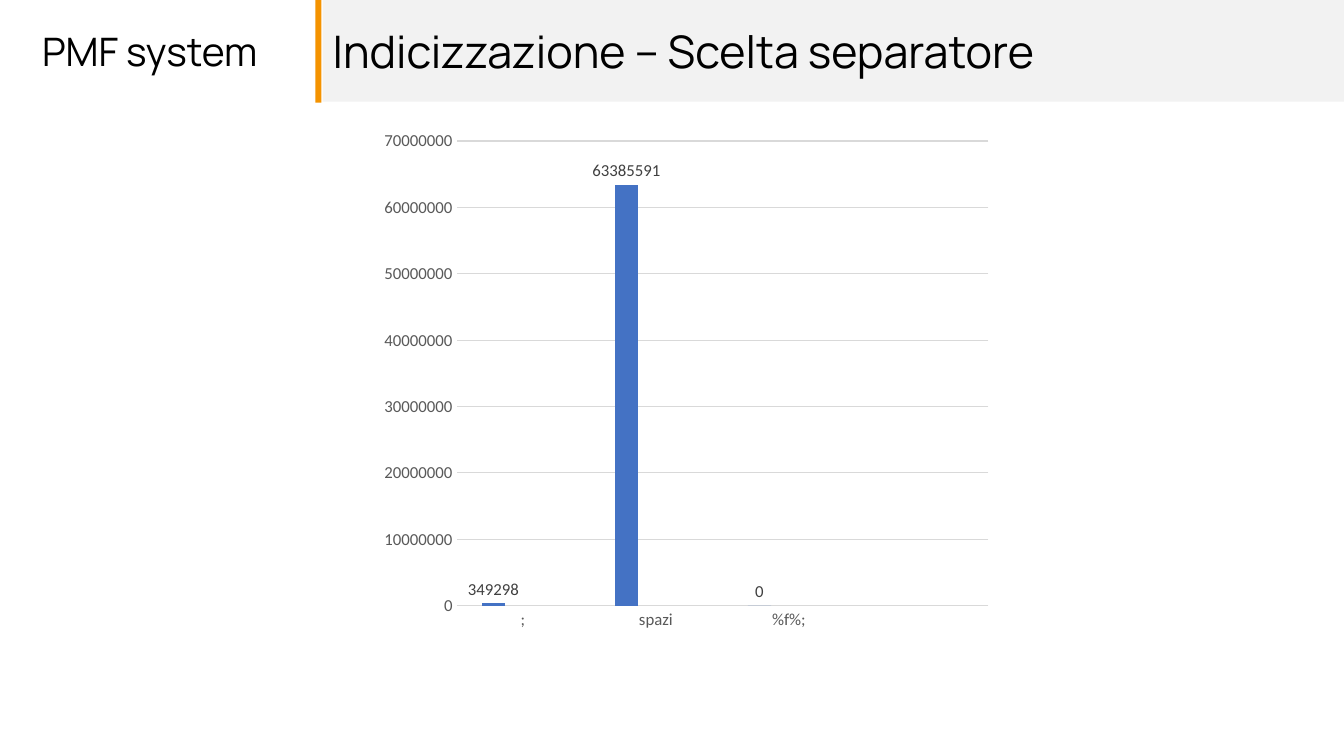
from dataclasses import dataclass

from lxml.etree import SubElement
from pptx import Presentation
from pptx.chart.axis import _BaseAxis
from pptx.chart.chart import Chart
from pptx.chart.data import CategoryChartData
from pptx.dml.color import RGBColor
from pptx.enum.chart import XL_CHART_TYPE, XL_LABEL_POSITION, XL_TICK_MARK
from pptx.enum.shapes import MSO_SHAPE
from pptx.enum.text import MSO_ANCHOR, MSO_AUTO_SIZE, PP_ALIGN
from pptx.oxml.ns import qn
from pptx.slide import Slide
from pptx.text.text import Font, TextFrame
from pptx.util import Cm, Pt


@dataclass(frozen=True)
class Theme:
    face: str = "Manrope"
    data: str = "Calibri"
    ink: str = "000000"
    band: str = "F2F2F2"
    accent: str = "F49301"
    grid: str = "D9D9D9"
    axis: str = "595959"
    label: str = "404040"
    title: int = 32
    brand: int = 28
    tick: int = 12
    base: int = 10


@dataclass(frozen=True)
class Box:
    left: float
    top: float
    width: float
    height: float

    def sides(self) -> tuple[Cm, Cm, Cm, Cm]:
        return Cm(self.left), Cm(self.top), Cm(self.width), Cm(self.height)


@dataclass(frozen=True)
class Series:
    name: str
    values: tuple[int | None, ...]
    color: str


THEME = Theme()
TITLE = Box(8.13, -0.03, 25.83, 2.59)
BAR = Box(7.95, 0, 0.15, 2.59)
BRAND = Box(0.81, 0.56, 8.15, 1.45)
CHART = Box(8.86, 2.95, 16.13, 13.16)
PLOT = {"x": 0.164, "y": 0.046, "w": 0.831, "h": 0.89}
MARKS = (";", "spazi", "%f%;", "")
BLANK = (None,) * len(MARKS)
SERIES = (
    Series("Series 1", (349298, 63385591, 0, None), "4472C4"),
    Series("Series 2", BLANK, "ED7D31"),
    Series("Series 3", BLANK, "A5A5A5"),
)


def style(font: Font, face: str, size: int, color: str) -> None:
    font.name, font.size = face, Pt(size)
    font.color.rgb = RGBColor.from_string(color)


def write(frame: TextFrame, text: str, size: int) -> None:
    frame.text = text
    para = frame.paragraphs[0]
    para.alignment = PP_ALIGN.LEFT
    style(para.runs[0].font, THEME.face, size, THEME.ink)


def add_title(slide: Slide) -> None:
    title = slide.shapes.title
    title.left, title.top, title.width, title.height = TITLE.sides()
    title.fill.solid()
    title.fill.fore_color.rgb = RGBColor.from_string(THEME.band)
    frame = title.text_frame
    frame.auto_size = MSO_AUTO_SIZE.NONE
    frame.vertical_anchor = MSO_ANCHOR.MIDDLE
    write(frame, "Indicizzazione – Scelta separatore", THEME.title)


def add_bar(slide: Slide) -> None:
    bar = slide.shapes.add_shape(MSO_SHAPE.RECTANGLE, *BAR.sides())
    bar.shadow.inherit = False
    bar.fill.solid()
    bar.fill.fore_color.rgb = RGBColor.from_string(THEME.accent)
    bar.line.fill.background()


def add_brand(slide: Slide) -> None:
    frame = slide.shapes.add_textbox(*BRAND.sides()).text_frame
    frame.word_wrap = True
    frame.auto_size = MSO_AUTO_SIZE.SHAPE_TO_FIT_TEXT
    write(frame, "PMF system", THEME.brand)


def set_axis(axis: _BaseAxis) -> None:
    axis.major_tick_mark = axis.minor_tick_mark = XL_TICK_MARK.NONE
    style(axis.tick_labels.font, THEME.data, THEME.tick, THEME.axis)


def set_plot(chart: Chart) -> None:
    """Fix the inner plot area as fractions of the chart."""
    area = chart.element.find(".//" + qn("c:plotArea"))
    layout = area.find(qn("c:layout"))
    if layout is None:
        layout = SubElement(area, qn("c:layout"))
        area.insert(0, layout)
    manual = SubElement(layout, qn("c:manualLayout"))
    rules = {"layoutTarget": "inner", "xMode": "edge", "yMode": "edge"} | PLOT
    for key, value in rules.items():
        SubElement(manual, qn("c:" + key)).set("val", str(value))


def add_chart(slide: Slide) -> None:
    data = CategoryChartData()
    data.categories = MARKS
    for item in SERIES:
        data.add_series(item.name, item.values)
    chart = slide.shapes.add_chart(
        XL_CHART_TYPE.COLUMN_CLUSTERED, *CHART.sides(), data
    ).chart
    chart.has_title = chart.has_legend = False
    style(chart.font, THEME.data, THEME.base, THEME.ink)
    set_plot(chart)

    plot = chart.plots[0]
    plot.gap_width, plot.overlap = 219, -27
    plot.vary_by_categories = False
    for item, series in zip(SERIES, plot.series):
        series.format.fill.solid()
        series.format.fill.fore_color.rgb = RGBColor.from_string(item.color)
    labels = plot.series[0].data_labels
    labels.show_value = True
    labels.position = XL_LABEL_POSITION.OUTSIDE_END
    style(labels.font, THEME.data, THEME.tick, THEME.label)

    across, up = chart.category_axis, chart.value_axis
    set_axis(across)
    set_axis(up)
    up.minimum_scale, up.maximum_scale, up.major_unit = 0, 70000000, 10000000
    up.has_major_gridlines = True
    up.format.line.fill.background()
    for line in (across.format.line, up.major_gridlines.format.line):
        line.color.rgb = RGBColor.from_string(THEME.grid)
        line.width = Pt(0.75)


def main() -> None:
    deck = Presentation()
    deck.slide_width, deck.slide_height = Cm(33.87), Cm(19.05)
    slide = deck.slides.add_slide(deck.slide_layouts.get_by_name("Title Only"))
    add_title(slide)
    add_bar(slide)
    add_brand(slide)
    add_chart(slide)
    deck.save("out.pptx")


if __name__ == "__main__":
    main()
